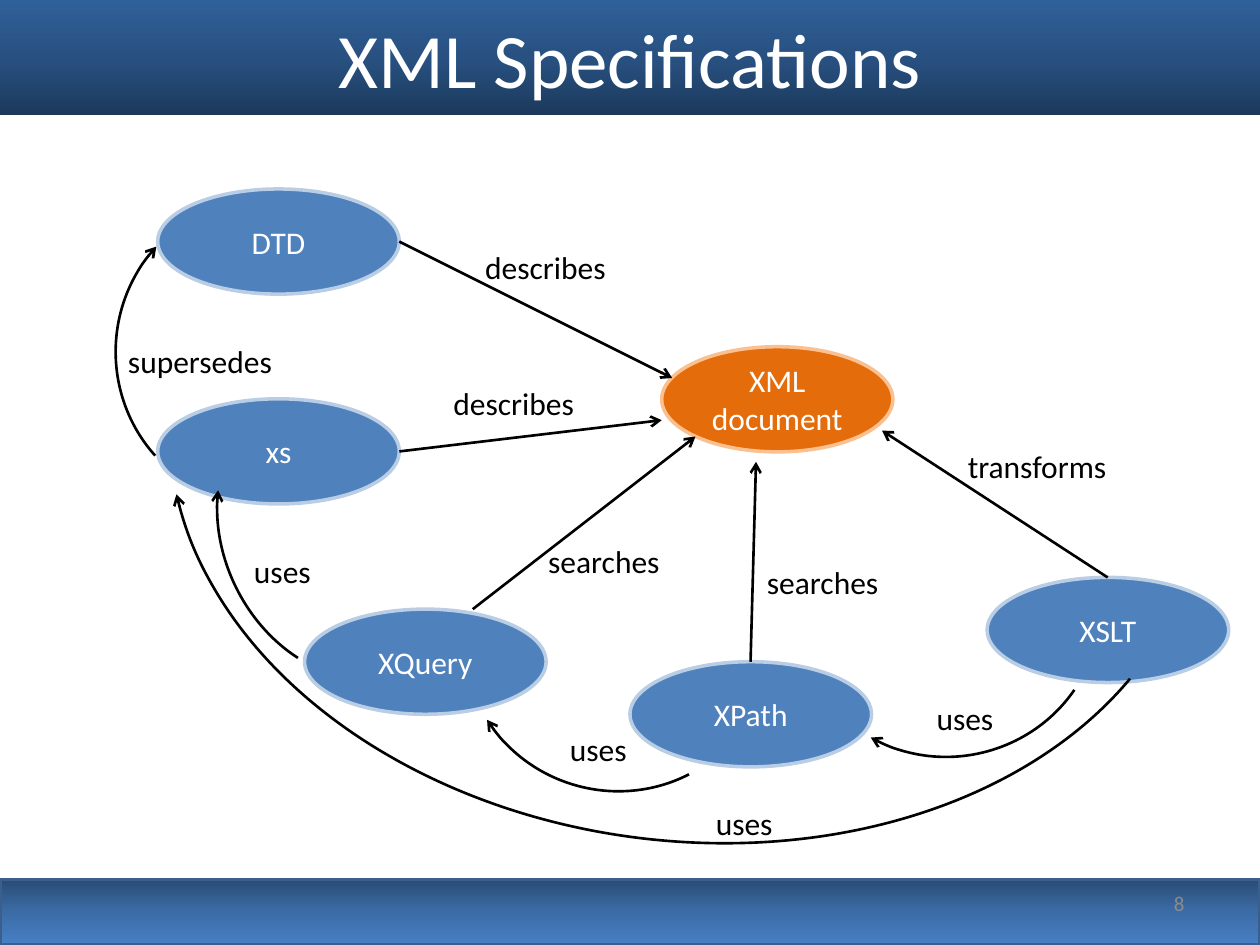
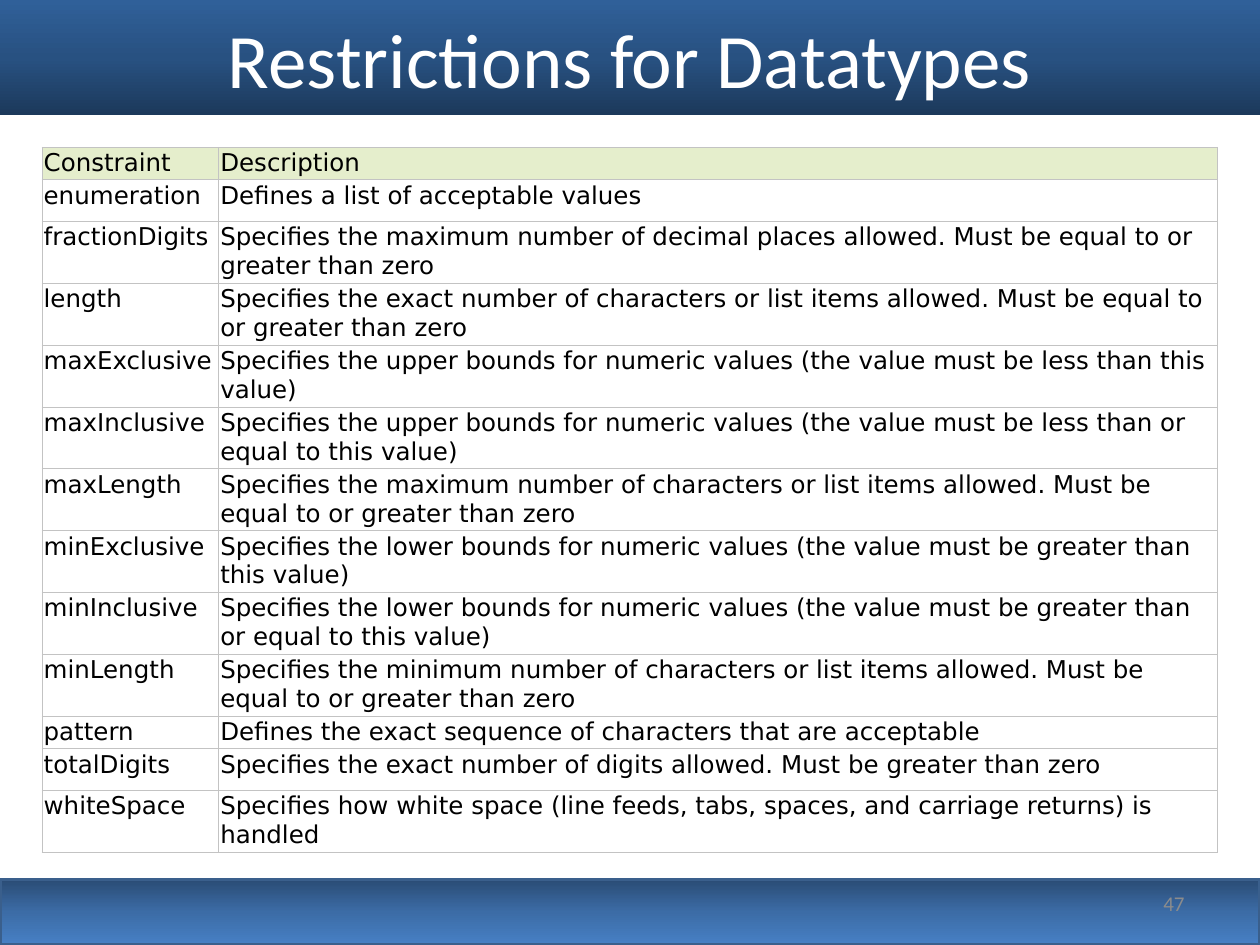
import dataclasses
import typing

import pptx
import pptx.dml.color
import pptx.enum.shapes
import pptx.enum.text
import pptx.oxml
import pptx.oxml.ns
import pptx.oxml.xmlchemy
import pptx.util

Cm = pptx.util.Cm
Pt = pptx.util.Pt
qn = pptx.oxml.ns.qn
SHAPE = pptx.enum.shapes.MSO_SHAPE
ALIGN = pptx.enum.text.PP_ALIGN
ANCHOR = pptx.enum.text.MSO_ANCHOR

# Shared look
WIDTH, HEIGHT = 25.4, 19.05
FONT, TABLE_FONT = "Calibri", "DejaVu Sans"
BLACK, WHITE, GREY = "000000", "FFFFFF", "8C8C8C"
BLUE, PALE_BLUE = "4F81BD", "B9CDE5"
ORANGE, PALE_ORANGE = "E46C0A", "FAC090"
TITLE_GRADIENT = ("306099", "285181", "1C395B")
FOOTER_GRADIENT = ("2A4C75", "3C6CA6", "4780C5")
FOOTER_LINE = "3A5F8C"
HEADER_FILL, BORDER = "E5EECC", "C3C3C3"
NODE_WIDTH, NODE_HEIGHT, LABEL_HEIGHT = 4.87, 2.12, 1.02


# All lengths are in centimetres
@dataclasses.dataclass
class Node:
    text: str
    x: float
    y: float
    w: float = NODE_WIDTH
    fill: str = BLUE
    line: str = PALE_BLUE


class Arrow(typing.NamedTuple):
    x1: float
    y1: float
    x2: float
    y2: float


@dataclasses.dataclass
class Arc:
    x: float
    y: float
    rotation: float
    w: float = 5.93
    h: float = 6.14
    start: float = 189.59
    end: float = 26.81


class Label(typing.NamedTuple):
    text: str
    x: float
    y: float
    w: float


NODES = [
    Node("XML document", 13.34, 6.99, 4.66, ORANGE, PALE_ORANGE),
    Node("DTD", 3.18, 3.81),
    Node("xs", 3.18, 8.04),
    Node("XQuery", 6.14, 12.28),
    Node("XPath", 12.7, 13.34),
    Node("XSLT", 19.9, 11.64),
]
ARROWS = [
    Arrow(8.05, 4.87, 13.55, 7.62),
    Arrow(8.05, 9.1, 13.34, 8.47),
    Arrow(9.53, 12.28, 14.02, 8.8),
    Arrow(15.13, 13.34, 15.24, 9.31),
    Arrow(22.33, 11.64, 17.78, 8.68),
]
ARCS = [
    Arc(2.33, 4.02, 180),
    Arc(4.5, 7.67, 153.6, w=4.98, start=190.63),
    Arc(9.45, 9.91, 104.8),
    Arc(16.15, 9.22, 76.5),
    Arc(6.1, -1.22, 97.1, 15.44, 20.9, 173.59, 47.28),
]
LABELS = [
    Label("supersedes", 2.33, 6.77, 3.45),
    Label("describes", 9.53, 4.87, 2.97),
    Label("describes", 8.89, 7.62, 2.97),
    Label("searches", 10.8, 10.8, 2.8),
    Label("searches", 15.21, 11.22, 2.8),
    Label("transforms", 19.26, 8.89, 3.33),
    Label("uses", 18.63, 13.97, 1.68),
    Label("uses", 11.24, 14.6, 1.68),
    Label("uses", 4.87, 11.01, 1.68),
    Label("uses", 14.18, 16.08, 1.68),
]

# Row heights by kind: tight line, roomy line, two lines
TIGHT, ROOMY, DOUBLE = 0.61, 0.84, 1.2
CONSTRAINTS = [
    ("Constraint", "Description", TIGHT),
    ("enumeration", "Defines a list of acceptable values", ROOMY),
    ("fractionDigits", "Specifies the maximum number of decimal places allowed. "
     "Must be equal to or greater than zero", DOUBLE),
    ("length", "Specifies the exact number of characters or list items allowed. "
     "Must be equal to or greater than zero", DOUBLE),
    ("maxExclusive", "Specifies the upper bounds for numeric values "
     "(the value must be less than this value)", DOUBLE),
    ("maxInclusive", "Specifies the upper bounds for numeric values "
     "(the value must be less than or equal to this value)", DOUBLE),
    ("maxLength", "Specifies the maximum number of characters or list items allowed. "
     "Must be equal to or greater than zero", DOUBLE),
    ("minExclusive", "Specifies the lower bounds for numeric values "
     "(the value must be greater than this value)", DOUBLE),
    ("minInclusive", "Specifies the lower bounds for numeric values "
     "(the value must be greater than or equal to this value)", DOUBLE),
    ("minLength", "Specifies the minimum number of characters or list items allowed. "
     "Must be equal to or greater than zero", DOUBLE),
    ("pattern", "Defines the exact sequence of characters that are acceptable", TIGHT),
    ("totalDigits", "Specifies the exact number of digits allowed. "
     "Must be greater than zero", ROOMY),
    ("whiteSpace", "Specifies how white space (line feeds, tabs, spaces, "
     "and carriage returns) is handled", DOUBLE),
]


# Helpers
def rgb(color: str) -> pptx.dml.color.RGBColor:
    return pptx.dml.color.RGBColor.from_string(color)


def set_text(tf, text: str, size: float, color: str, align=ALIGN.LEFT, font: str = FONT) -> None:
    tf.text = text
    p = tf.paragraphs[0]
    p.alignment = align
    r = p.runs[0]
    r.font.size, r.font.name = Pt(size), font
    r.font.color.rgb = rgb(color)


def set_line(line, color: str, width: float) -> None:
    line.color.rgb = rgb(color)
    line.width = Pt(width)


def add_child(parent, tag: str, **attributes: str):
    child = pptx.oxml.xmlchemy.OxmlElement(tag)
    for name, value in attributes.items():
        child.set(name, value)
    parent.append(child)
    return child


def add_shape(slide, kind, x: float, y: float, w: float, h: float):
    sp = slide.shapes.add_shape(kind, Cm(x), Cm(y), Cm(w), Cm(h))
    sp.shadow.inherit = False
    return sp


def add_textbox(slide, x: float, y: float, w: float, h: float, wrap: bool):
    tf = slide.shapes.add_textbox(Cm(x), Cm(y), Cm(w), Cm(h)).text_frame
    tf.word_wrap = wrap
    return tf


def add_band(slide, y: float, h: float, colors: typing.Sequence[str]):
    """Full-width bar with an evenly spaced gradient from top to bottom."""
    sp = add_shape(slide, SHAPE.RECTANGLE, 0, y, WIDTH, h)
    sp.fill.gradient()
    sp.fill.gradient_angle = 270
    stops = sp._element.spPr.find(qn("a:gradFill")).find(qn("a:gsLst"))
    for stop in list(stops):
        stops.remove(stop)
    for i, color in enumerate(colors):
        stop = add_child(stops, "a:gs", pos=str(i * 100000 // (len(colors) - 1)))
        add_child(stop, "a:srgbClr", val=color)
    return sp


def add_slide(prs, title: str, number: int):
    slide = prs.slides.add_slide(prs.slide_layouts[6])
    footer = add_band(slide, 17.73, 1.32, FOOTER_GRADIENT)
    set_line(footer.line, FOOTER_LINE, 2)
    header = add_band(slide, 0, 2.32, TITLE_GRADIENT)
    header.line.fill.background()
    header.text_frame.vertical_anchor = ANCHOR.MIDDLE
    set_text(header.text_frame, title, 44, WHITE, ALIGN.CENTER)
    tf = add_textbox(slide, 18.2, 17.7, 5.93, 1.01, True)
    tf.vertical_anchor = ANCHOR.MIDDLE
    set_text(tf, str(number), 12, GREY, ALIGN.RIGHT)
    return slide


def style_arrow(sp) -> None:
    set_line(sp.line, BLACK, 1.5)
    add_child(sp.line._get_or_add_ln(), "a:tailEnd", type="arrow")


# Diagram parts
def add_node(slide, node: Node) -> None:
    sp = add_shape(slide, SHAPE.OVAL, node.x, node.y, node.w, NODE_HEIGHT)
    sp.fill.solid()
    sp.fill.fore_color.rgb = rgb(node.fill)
    set_line(sp.line, node.line, 2)
    sp.text_frame.vertical_anchor = ANCHOR.MIDDLE
    set_text(sp.text_frame, node.text, 18, WHITE, ALIGN.CENTER)


def add_arrow(slide, arrow: Arrow) -> None:
    line = slide.shapes.add_connector(
        pptx.enum.shapes.MSO_CONNECTOR.STRAIGHT, *(Cm(v) for v in arrow))
    style_arrow(line)
    add_child(line._element.spPr, "a:effectLst")


def add_arc(slide, arc: Arc) -> None:
    sp = add_shape(slide, SHAPE.ARC, arc.x, arc.y, arc.w, arc.h)
    sp.adjustments[0], sp.adjustments[1] = arc.start, arc.end
    sp.rotation = arc.rotation
    sp.fill.background()
    style_arrow(sp)


def add_label(slide, label: Label) -> None:
    tf = add_textbox(slide, label.x, label.y, label.w, LABEL_HEIGHT, False)
    tf.auto_size = pptx.enum.text.MSO_AUTO_SIZE.SHAPE_TO_FIT_TEXT
    set_text(tf, label.text, 18, BLACK)


# Table parts
def style_cell(cell, text: str, fill: str) -> None:
    set_text(cell.text_frame, text, 14, BLACK, font=TABLE_FONT)
    cell.margin_left = cell.margin_right = cell.margin_top = cell.margin_bottom = Cm(0.03)
    tc_pr = cell._tc.get_or_add_tcPr()
    for side in ("a:lnL", "a:lnR", "a:lnT", "a:lnB"):
        border = add_child(tc_pr, side, w=str(Pt(0.6)))
        add_child(add_child(border, "a:solidFill"), "a:srgbClr", val=BORDER)
    cell.fill.solid()
    cell.fill.fore_color.rgb = rgb(fill)


def add_constraint_table(slide) -> None:
    widths = (3.56, 20.14)
    height = sum(row[2] for row in CONSTRAINTS)
    table = slide.shapes.add_table(
        len(CONSTRAINTS), 2, Cm(0.85), Cm(2.97), Cm(sum(widths)), Cm(height)).table
    for column, width in zip(table.columns, widths):
        column.width = Cm(width)
    for i, (name, description, row_height) in enumerate(CONSTRAINTS):
        table.rows[i].height = Cm(row_height)
        for j, text in enumerate((name, description)):
            style_cell(table.cell(i, j), text, WHITE if i else HEADER_FILL)


def main() -> None:
    prs = pptx.Presentation()
    prs.slide_width, prs.slide_height = Cm(WIDTH), Cm(HEIGHT)

    slide = add_slide(prs, "XML Specifications", 8)
    for draw, items in ((add_node, NODES), (add_arrow, ARROWS),
                        (add_arc, ARCS), (add_label, LABELS)):
        for item in items:
            draw(slide, item)

    slide = add_slide(prs, "Restrictions for Datatypes", 47)
    add_constraint_table(slide)
    prs.save("out.pptx")


if __name__ == "__main__":
    main()
